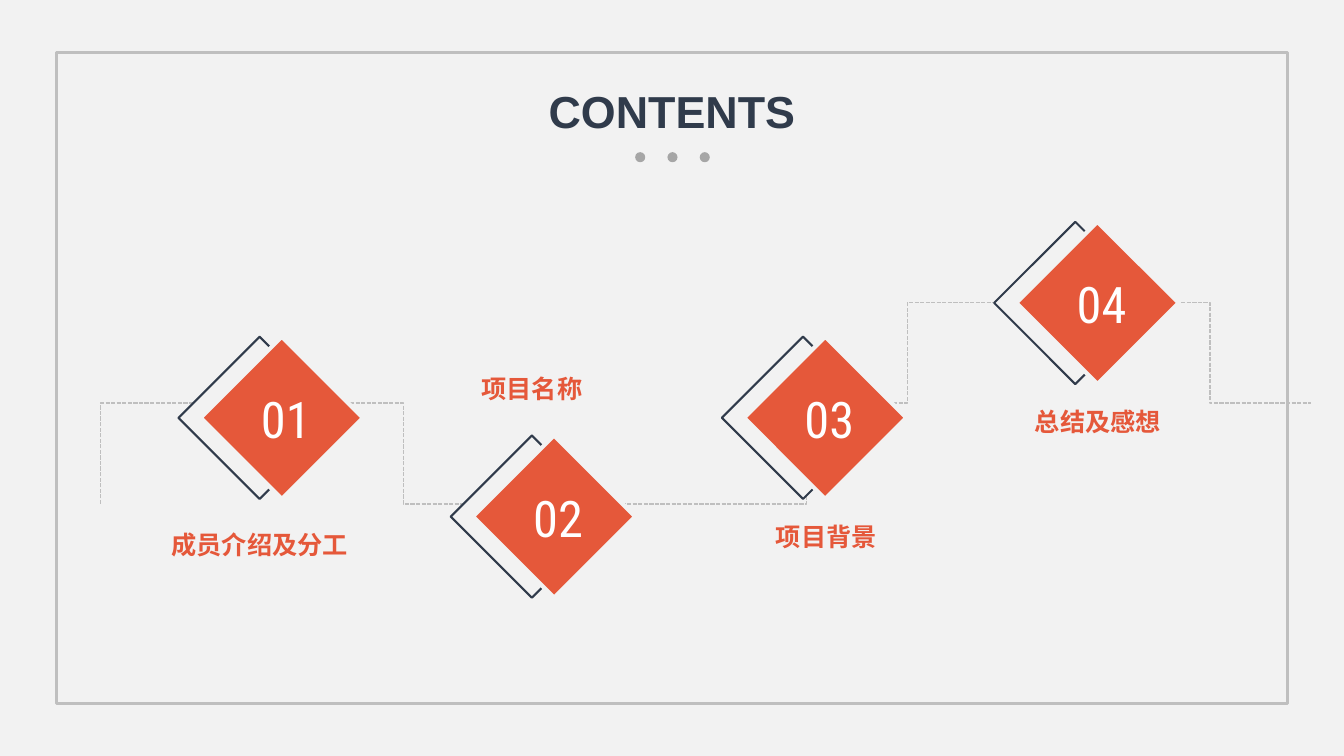
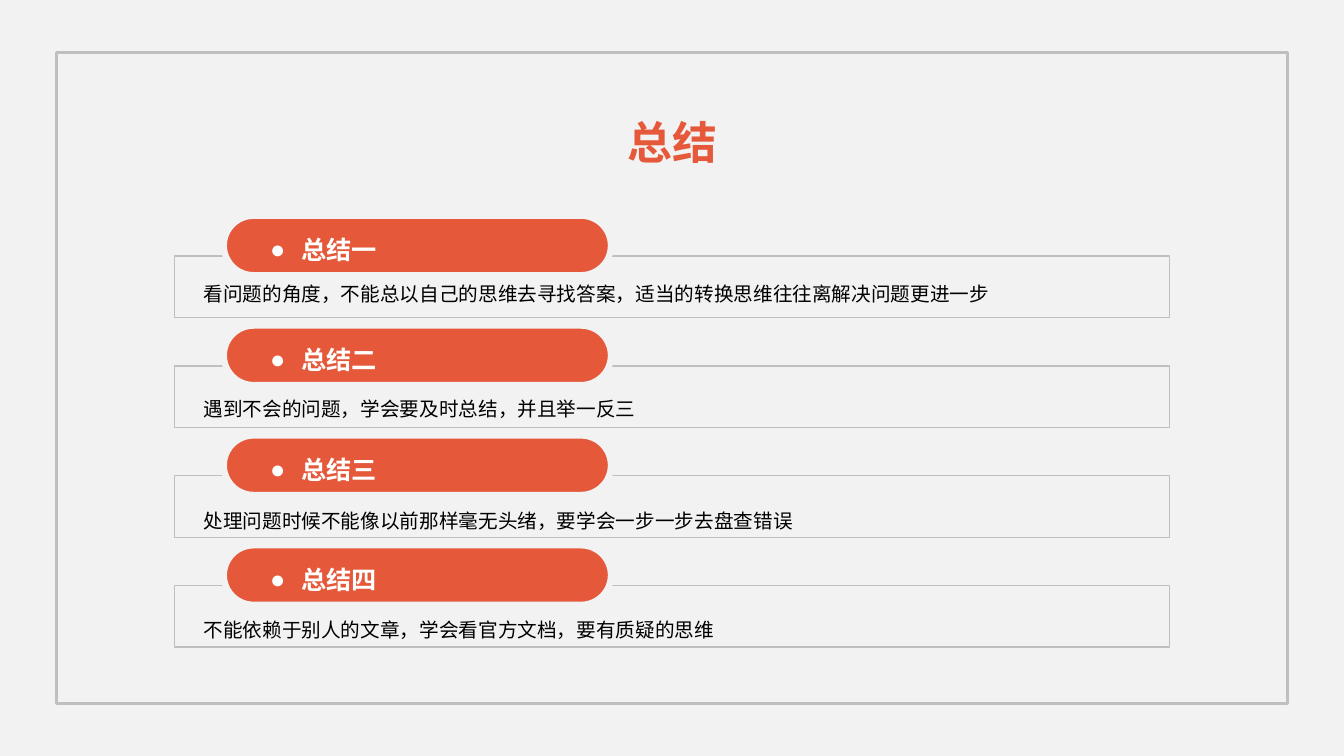
"""Build a contents slide and a summary slide in one shared frame."""
from dataclasses import dataclass
from typing import Optional, Union

from lxml import etree
from pptx import Presentation
from pptx.dml.color import RGBColor
from pptx.enum import dml, shapes, text
from pptx.oxml.ns import qn
from pptx.shapes import autoshape, shapetree as tree
from pptx.slide import Slide
from pptx.util import Inches, Pt

PAPER = RGBColor(0xF2, 0xF2, 0xF2)
NAVY = RGBColor(0x30, 0x3B, 0x4B)
CORAL = RGBColor(0xE5, 0x58, 0x3A)
SILVER = RGBColor(0xBF, 0xBF, 0xBF)
GRAY = RGBColor(0xA6, 0xA6, 0xA6)
WHITE = RGBColor(0xFF, 0xFF, 0xFF)
BLACK = RGBColor(0, 0, 0)

TITLE = {"name": "Arial", "size": Pt(32), "bold": True}
LABEL = {"name": "Arial", "size": Pt(18), "bold": True}
BODY = {"name": "Arial", "size": Pt(14), "bold": False}
NUMBER = {"name": "Roboto Condensed", "size": Pt(36), "bold": False}

KIND = shapes.MSO_SHAPE
ALIGN = text.PP_ALIGN
Canvas = Union[tree.SlideShapes, tree.GroupShapes]
Area = tuple[float, float, float, float]
Point = tuple[float, float]


@dataclass(frozen=True)
class Topic:
    """A numbered diamond and its label."""
    left: float
    top: float
    name: str
    label: Area


@dataclass(frozen=True)
class Lesson:
    """A headed panel with one line of text."""
    head: str
    body: str
    top: float
    space: float = 1.2


TOPICS = (
    Topic(1.77, 3.34, "成员介绍及分工", (1.59, 5.2, 1.97, 0.4)),
    Topic(4.47, 4.32, "项目名称", (4.67, 3.65, 1.21, 0.4)),
    Topic(7.16, 3.34, "项目背景", (7.59, 5.12, 1.21, 0.4)),
    Topic(9.86, 2.2, "总结及感想", (10.16, 3.98, 1.46, 0.4)),
)
LESSONS = (
    Lesson("总结一", "看问题的角度，不能总以自己的思维去寻找答案，适当的转换思维往往离解决问题更进一步", 2.75, 1),
    Lesson("总结二", "遇到不会的问题，学会要及时总结，并且举一反三", 3.84),
    Lesson("总结三", "处理问题时候不能像以前那样毫无头绪，要学会一步一步去盘查错误", 4.95),
    Lesson("总结四", "不能依赖于别人的文章，学会看官方文档，要有质疑的思维", 6.03),
)
START = (0.57, 4.74)
CURVES = (
    ((1.2, 4.38), (1.82, 4.01), (2.63, 4.06)),
    ((3.43, 4.12), (4.45, 5.06), (5.39, 5.07)),
    ((6.33, 5.09), (7.62, 4.48), (8.27, 4.13)),
    ((8.91, 3.77), (8.74, 3.3), (9.29, 2.95)),
    ((9.83, 2.59), (10.24, 2.84), (10.82, 2.97)),
    ((11.4, 3.1), (12.08, 3.42), (12.78, 3.72)),
)
STEPS = 16


def inch(area: Area) -> list[Inches]:
    """Turn an area into lengths."""
    return [Inches(value) for value in area]


def write(frame, words: str, style: dict, color: RGBColor,
          align=ALIGN.CENTER, space: float = 1, wrap: bool = False) -> None:
    """Put one styled paragraph in a text frame."""
    layout = {"text": words, "word_wrap": wrap, "auto_size": text.MSO_AUTO_SIZE.NONE}
    for key, value in layout.items():
        setattr(frame, key, value)
    para = frame.paragraphs[0]
    para.alignment, para.line_spacing = align, space
    font = para.runs[0].font
    for key, value in style.items():
        setattr(font, key, value)
    font.color.rgb = color


def add_text(canvas: Canvas, area: Area, *args, **kwargs) -> autoshape.Shape:
    """Add a text box with one styled paragraph."""
    box = canvas.add_textbox(*inch(area))
    write(box.text_frame, *args, **kwargs)
    return box


def add_form(canvas: Canvas, kind: KIND, area: Area, fill: Optional[RGBColor] = None,
             line: Optional[RGBColor] = None, width: float = 1) -> autoshape.Shape:
    """Add a flat preset shape."""
    form = canvas.add_shape(kind, *inch(area))
    form.shadow.inherit = False
    for paint, color in ((form.fill, fill), (form.line.fill, line)):
        if color is None:
            paint.background()
        else:
            paint.solid()
            paint.fore_color.rgb = color
    if line is not None:
        form.line.width = Pt(width)
    return form


def add_page(deck, title: str, area: Area, color: RGBColor) -> Slide:
    """Add a framed slide with its title."""
    page = deck.slides.add_slide(deck.slide_layouts[5])
    add_form(page.shapes, KIND.RECTANGLE, (0.56, 0.52, 12.21, 6.46), None, SILVER, 2.25)
    head = page.shapes.title
    for key, value in zip(("left", "top", "width", "height"), inch(area)):
        setattr(head, key, value)
    write(head.text_frame, title, TITLE, color)
    return page


def bend(ends: tuple[Point, ...]) -> list[Point]:
    """Sample a cubic curve after its start."""
    points = []
    for step in range(1, STEPS + 1):
        t = step / STEPS
        parts = ((1 - t) ** 3, 3 * t * (1 - t) ** 2, 3 * t * t * (1 - t), t ** 3)
        points.append(tuple(sum(part * end[axis] for part, end in zip(parts, ends))
                            for axis in (0, 1)))
    return points


def add_trail(canvas: Canvas) -> None:
    """Draw the dashed trail behind the topics."""
    points, last = [], START
    for curve in CURVES:
        points += bend((last, *curve))
        last = curve[-1]
    maker = canvas.build_freeform(*START, scale=float(Inches(1)))
    maker.add_line_segments(points, close=False)
    trail = maker.convert_to_shape()
    trail.shadow.inherit = False
    trail.fill.background()
    trail.line.color.rgb = SILVER
    trail.line.width = Pt(1)
    trail.line.dash_style = dml.MSO_LINE.SQUARE_DOT


def add_topic(page: Slide, index: int, topic: Topic) -> None:
    """Draw a doubled diamond with number and label."""
    group = page.shapes.add_group_shape().shapes
    left, top, size = topic.left, topic.top, 1.61
    add_form(group, KIND.DIAMOND, (left, top, size, size), PAPER, NAVY, 1.5)
    add_form(group, KIND.DIAMOND, (left + 0.22, top, size, size), CORAL, PAPER, 3)
    add_text(group, (left + 0.62, top + 0.46, 0.89, 0.71), f"{index:02}",
             NUMBER, WHITE, wrap=True)
    add_text(page.shapes, topic.label, topic.name, LABEL, CORAL)


def add_lesson(page: Slide, index: int, lesson: Lesson) -> None:
    """Draw a panel with a bulleted pill and its text."""
    top = 2.14 + 1.09 * index
    group = page.shapes.add_group_shape().shapes
    panel = add_form(group, KIND.RECTANGLE, (1.73, top + 0.4, 9.87, 0.61), PAPER, SILVER)
    tint = panel.element.find(".//" + qn("a:srgbClr"))
    etree.SubElement(tint, qn("a:alpha"), val="90000")
    pill = add_form(group, KIND.ROUNDED_RECTANGLE, (2.22, top, 3.84, 0.59), CORAL, PAPER, 4.5)
    pill.adjustments[0] = 0.5
    head = add_text(page.shapes, (2.58, top + 0.08, 2.45, 0.43), lesson.head,
                    LABEL, WHITE, ALIGN.LEFT, 1.2, True)
    props = head.element.find(".//" + qn("a:pPr"))
    props.set("marL", str(Inches(0.31)))
    props.set("indent", str(Inches(-0.31)))
    etree.SubElement(props, qn("a:buFont"), typeface="Arial")
    etree.SubElement(props, qn("a:buChar"), char="●")
    add_text(page.shapes, (1.92, lesson.top, 9.54, 0.36), lesson.body,
             BODY, BLACK, ALIGN.LEFT, lesson.space, True)


def main() -> None:
    """Build and save the deck."""
    deck = Presentation()
    deck.slide_width, deck.slide_height = Inches(13.33), Inches(7.5)
    paper = deck.slide_master.background.fill
    paper.solid()
    paper.fore_color.rgb = PAPER

    page = add_page(deck, "CONTENTS", (5.33, 0.78, 2.67, 0.64), NAVY)
    add_trail(page.shapes)
    for index, topic in enumerate(TOPICS, 1):
        add_topic(page, index, topic)
    for index in range(3):
        add_form(page.shapes, KIND.OVAL, (6.3 + 0.32 * index, 1.51, 0.1, 0.1), GRAY)

    page = add_page(deck, "总结", (6.12, 1.08, 1.1, 0.64), CORAL)
    for index, lesson in enumerate(LESSONS):
        add_lesson(page, index, lesson)
    deck.save("out.pptx")


if __name__ == "__main__":
    main()
